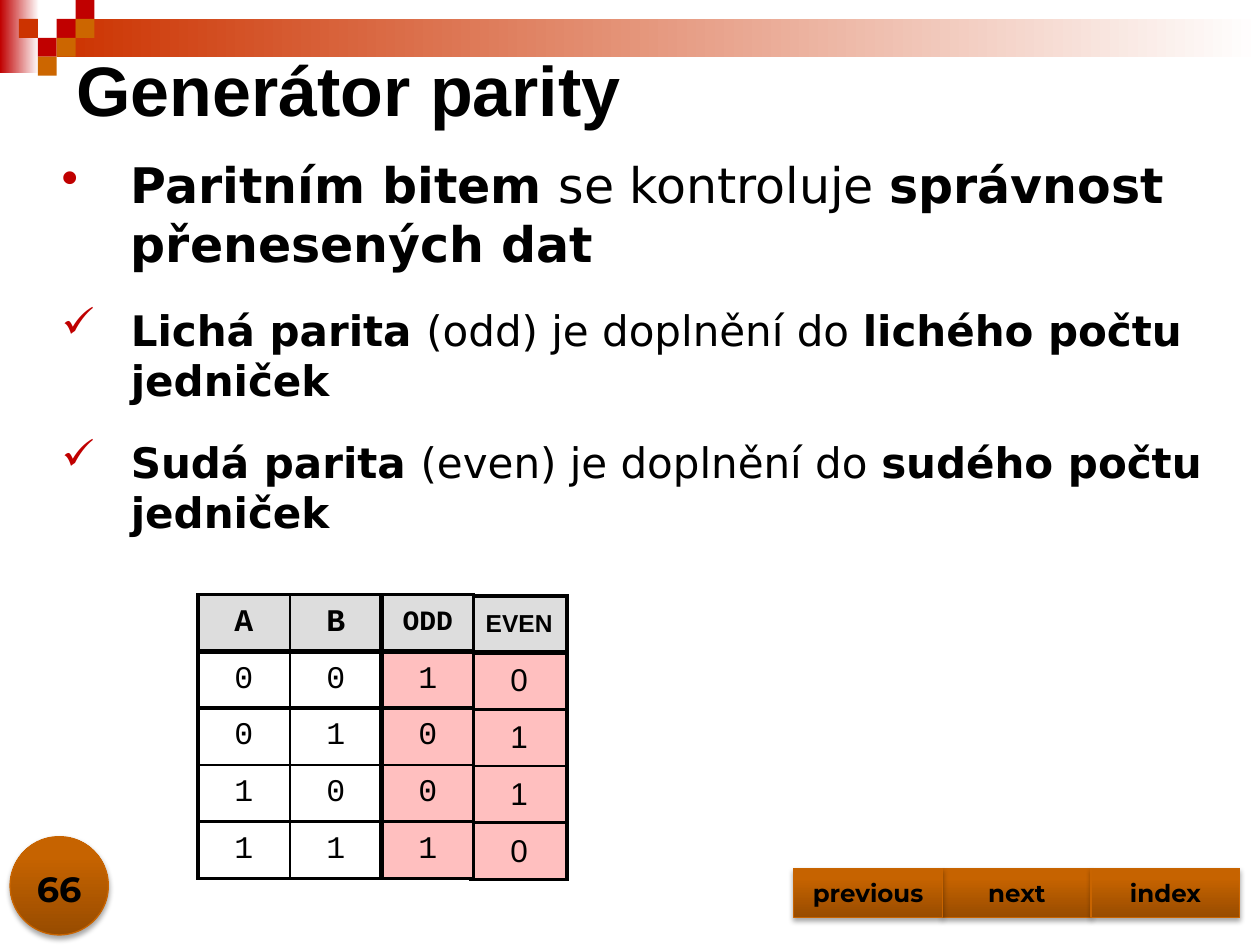
from lxml.etree import SubElement
from pptx import Presentation
from pptx.dml.color import RGBColor as RGB
from pptx.enum.shapes import MSO_SHAPE as SHAPE
from pptx.enum.text import MSO_ANCHOR as ANCHOR, PP_ALIGN as ALIGN
from pptx.oxml.ns import qn
from pptx.util import Inches, Pt


class Theme:
    black, white = RGB.from_string("000000"), RGB.from_string("FFFFFF")
    red, orange, brown = (RGB.from_string(c) for c in ("C00000", "CC3300", "CC6600"))
    header, result = RGB.from_string("DDDDDD"), RGB.from_string("FFBFBF")
    button_dark, button_light, button_edge = (
        RGB.from_string(c) for c in ("984C00", "C66300", "C86400"))
    title, lead, point, page, button, digit = (Pt(n) for n in (40, 28, 24, 20, 14, 18))
    heading, body, mono, nav = "Arial", "DejaVu Sans", "Courier New", "Montserrat"


def add_filled(kind, box, colors, angle=0, end=1.0, raised=False):
    shape = slide.shapes.add_shape(kind, *map(Inches, box))
    shape.shadow.inherit = False
    if len(colors) == 1:
        shape.fill.solid()
        shape.fill.fore_color.rgb = colors[0]
    else:
        shape.fill.gradient()
        shape.fill.gradient_angle = angle
        for stop, color, position in zip(shape.fill.gradient_stops, colors, (0, end)):
            stop.color.rgb = color
            stop.position = position
    if raised:
        shape.line.color.rgb = Theme.button_edge
        shape.line.width = Pt(0.75)
        effects = shape._element.spPr.find(qn("a:effectLst"))
        shadow = SubElement(effects, qn("a:outerShdw"), blurRad=str(Pt(3.1)),
                            dist=str(Pt(1.8)), dir="5400000", rotWithShape="0")
        tint = SubElement(shadow, qn("a:srgbClr"), val=str(Theme.black))
        SubElement(tint, qn("a:alpha"), val="35000")
    else:
        shape.line.fill.background()
    return shape


def write(frame, text, face, size, bold=True, align=ALIGN.CENTER):
    paragraph = frame.paragraphs[0]
    paragraph.text = text
    paragraph.alignment = align
    font = paragraph.font
    font.name, font.size, font.bold = face, size, bold
    font.color.rgb = Theme.black


prs = Presentation()
prs.slide_width, prs.slide_height = Inches(10), Inches(7.5)
slide = prs.slides.add_slide(prs.slide_layouts[6])

add_filled(SHAPE.RECTANGLE, (0, 0, 0.31, 0.58), (Theme.red, Theme.white))
add_filled(SHAPE.RECTANGLE, (0.45, 0.15, 9.55, 0.3), (Theme.orange, Theme.white))
tile = 0.15
for column, row, color in (
    (3, 1, Theme.red), (4, 0, Theme.red), (4, 1, Theme.brown), (2, 2, Theme.red),
    (1, 1, Theme.orange), (3, 2, Theme.brown), (2, 3, Theme.brown),
):
    add_filled(SHAPE.RECTANGLE, (column * tile, row * tile, tile, tile), (color,))

title = slide.shapes.add_textbox(*map(Inches, (0.51, 0.31, 8.5, 0.79))).text_frame
title.word_wrap = True
title.vertical_anchor = ANCHOR.MIDDLE
write(title, "Generátor parity", Theme.heading, Theme.title, align=ALIGN.LEFT)

points = slide.shapes.add_textbox(*map(Inches, (0.39, 1.18, 9.61, 3.16))).text_frame
points.word_wrap = True
for index, (bullet, size, parts) in enumerate((
    ("•", Theme.lead, ("Paritním bitem ", "se kontroluje ", "správnost přenesených dat")),
    ("✓", Theme.point, ("Lichá parita ", "(odd) je doplnění do ", "lichého počtu jedniček")),
    ("✓", Theme.point, ("Sudá parita ", "(even) je doplnění do ", "sudého počtu jedniček")),
)):
    point = points.add_paragraph() if index else points.paragraphs[0]
    point.space_after = Pt(18)
    props = point._p.get_or_add_pPr()
    props.set("marL", str(Inches(0.55)))
    props.set("indent", str(Inches(-0.55)))
    bullet_color = SubElement(props, qn("a:buClr"))
    SubElement(bullet_color, qn("a:srgbClr"), val=str(Theme.red))
    SubElement(props, qn("a:buChar"), char=bullet)
    point.font.name, point.font.size = Theme.body, size
    point.font.color.rgb = Theme.black
    for part, bold in zip(parts, (True, False, True)):
        run = point.add_run()
        run.text = part
        run.font.bold = bold

row_height = 0.45
row_lines = (2.25, 3, 2.25, 1, 2.25, 2.25)
for left, top, width, face, header_size, fill, column_lines, rows in (
    (1.57, 4.72, 0.73, Theme.mono, Pt(18), None, (2.25, 1, 3), ("AB", "00", "01", "10", "11")),
    (3.74, 4.73, 0.76, Theme.heading, Pt(14), Theme.result, (3, 2.25),
     (("EVEN",), "0", "1", "1", "0")),
    (3.03, 4.72, 0.73, Theme.mono, Pt(16), Theme.result, (3, 2.25),
     (("ODD",), "1", "0", "0", "1")),
):
    box = (left, top, width * len(rows[0]), row_height * len(rows))
    table = slide.shapes.add_table(len(rows), len(rows[0]), *map(Inches, box)).table
    table.first_row = table.horz_banding = False
    for column in table.columns:
        column.width = Inches(width)
    for r, values in enumerate(rows):
        table.rows[r].height = Inches(row_height)
        for c, value in enumerate(values):
            cell = table.cell(r, c)
            cell.vertical_anchor = ANCHOR.MIDDLE
            write(cell.text_frame, value, face, Theme.digit if r else header_size, bold=r == 0)
            borders = cell._tc.get_or_add_tcPr()
            for side, points_wide in zip(("L", "R", "T", "B"),
                                         column_lines[c:c + 2] + row_lines[r:r + 2]):
                edge = SubElement(borders, qn(f"a:ln{side}"), w=str(Pt(points_wide)))
                ink = SubElement(edge, qn("a:solidFill"))
                SubElement(ink, qn("a:srgbClr"), val=str(Theme.black))
            cell_fill = fill if r else Theme.header
            if cell_fill is None:
                cell.fill.background()
            else:
                cell.fill.solid()
                cell.fill.fore_color.rgb = cell_fill

button_colors = (Theme.button_dark, Theme.button_light)
add_filled(SHAPE.OVAL, (0.08, 6.64, 0.78, 0.78), button_colors, 90, 0.8, raised=True)
page = slide.shapes.add_textbox(*map(Inches, (0, 6.77, 0.94, 0.5))).text_frame
page.word_wrap = True
page.vertical_anchor = ANCHOR.BOTTOM
write(page, "66", Theme.nav, Theme.page)

button_width = 1.18
for slot, label in ((1, "next"), (0, "previous"), (2, "index")):
    button = add_filled(SHAPE.ACTION_BUTTON_CUSTOM,
                        (6.3 + slot * button_width, 6.89, button_width, 0.39),
                        button_colors, 90, 0.8, raised=True)
    button.text_frame.vertical_anchor = ANCHOR.MIDDLE
    write(button.text_frame, label, Theme.nav, Theme.button)

prs.save("out.pptx")
